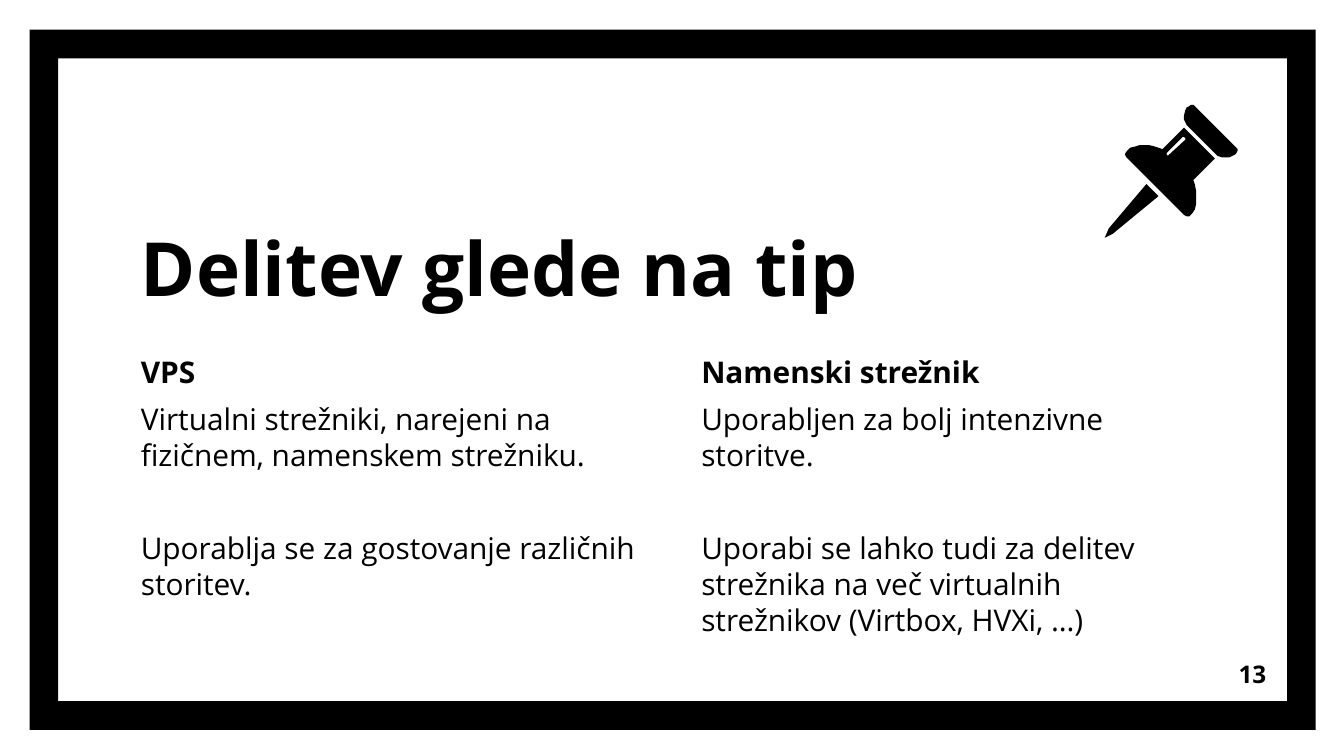
from typing import NamedTuple

from pptx import Presentation
from pptx import util as u
from pptx.dml.color import RGBColor
from pptx.enum import shapes, text

FONT = "Open Sans"
BLACK = "000000"
WHITE = "FFFFFF"
Points = list[tuple[int, int]]


class Box(NamedTuple):
    left: float
    top: float
    width: float
    height: float

    def lengths(self) -> list[u.Length]:
        return [u.Inches(value) for value in self]


class Line(NamedTuple):
    words: str
    size: float
    bold: bool = False
    space_before: float = 0


class Column(NamedTuple):
    left: float
    heading: str
    summary: str
    usage: str


COLUMNS = [
    Column(0.95, "VPS",
           "Virtualni strežniki, narejeni na fizičnem, namenskem strežniku.",
           "Uporablja se za gostovanje različnih storitev."),
    Column(5.12, "Namenski strežnik",
           "Uporabljen za bolj intenzivne storitve.",
           "Uporabi se lahko tudi za delitev strežnika na več virtualnih "
           "strežnikov (Virtbox, HVXi, …)"),
]

# Pushpin outlines in hundredths of an inch
NEEDLE: Points = [(853, 137), (825, 170), (822, 177), (828, 174), (862, 146)]
CAP: Points = [
    (886, 78), (885, 79), (883, 80), (882, 82), (881, 86), (881, 89),
    (882, 91), (883, 93), (906, 116), (909, 117), (915, 117), (917, 116),
    (919, 115), (920, 114), (921, 112), (921, 111), (920, 110), (889, 79),
    (888, 78),
]
BODY: Points = [
    (881, 95), (865, 111), (862, 110), (859, 109), (855, 108), (848, 108),
    (845, 109), (841, 110), (838, 113), (837, 115), (838, 117), (881, 160),
    (883, 161), (885, 161), (887, 159), (889, 156), (890, 152), (890, 142),
    (889, 137), (888, 134), (904, 118),
]
GLINT: Points = [
    (881, 102), (882, 103), (882, 104), (870, 115), (869, 116), (868, 115),
    (868, 114), (880, 102),
]


def color(hex_value: str) -> RGBColor:
    return RGBColor.from_string(hex_value)


def paint(shape, fill: str = BLACK) -> None:
    shape.shadow.inherit = False
    shape.fill.solid()
    shape.fill.fore_color.rgb = color(fill)
    shape.line.fill.background()


def add_text(slide, box: Box, lines: list[Line],
             anchor=text.MSO_ANCHOR.TOP, align=text.PP_ALIGN.LEFT) -> None:
    frame = slide.shapes.add_textbox(*box.lengths()).text_frame
    frame.word_wrap = True
    frame.vertical_anchor = anchor
    frame.margin_left = frame.margin_right = u.Inches(0.1)
    frame.margin_top = frame.margin_bottom = u.Inches(0.1)
    frame.text = "\n".join(line.words for line in lines)
    for paragraph, line in zip(frame.paragraphs, lines):
        paragraph.alignment = align
        paragraph.space_before = u.Pt(line.space_before)
        font = paragraph.runs[0].font
        font.name = FONT
        font.size = u.Pt(line.size)
        font.bold = line.bold
        font.color.rgb = color(BLACK)


def add_outline(slide, *contours: Points) -> None:
    """Draw one black shape; contours after the first cut holes in it."""
    first, *holes = contours
    builder = slide.shapes.build_freeform(*first[0], scale=u.Inches(0.01))
    builder.add_line_segments(first[1:], close=True)
    for hole in holes:
        builder.move_to(*hole[0])
        builder.add_line_segments(hole[1:], close=True)
    paint(builder.convert_to_shape())


def add_column(slide, column: Column) -> None:
    add_text(slide, Box(column.left, 2.53, 3.93, 2.33), [
        Line(column.heading, 16, bold=True, space_before=6),
        Line(column.summary, 16, space_before=6),
        Line(column.usage, 16, space_before=31),
    ])


def main() -> None:
    deck = Presentation()
    deck.slide_width, deck.slide_height = u.Inches(10), u.Inches(5.625)
    slide = deck.slides.add_slide(deck.slide_layouts[6])
    slide.background.fill.solid()
    slide.background.fill.fore_color.rgb = color(WHITE)

    border = slide.shapes.add_shape(
        shapes.MSO_SHAPE.FRAME, *Box(0.22, 0.22, 9.57, 5.21).lengths())
    border.adjustments[0] = 0.041
    paint(border)

    add_text(slide, Box(0.95, 0.93, 5.57, 1.49),
             [Line("Delitev glede na tip", 40, bold=True)],
             anchor=text.MSO_ANCHOR.BOTTOM)
    for column in COLUMNS:
        add_column(slide, column)

    add_outline(slide, NEEDLE)
    add_outline(slide, CAP)
    add_outline(slide, BODY, GLINT)

    add_text(slide, Box(8.92, 4.8, 0.6, 0.43), [Line("13", 13, bold=True)],
             anchor=text.MSO_ANCHOR.MIDDLE, align=text.PP_ALIGN.RIGHT)
    deck.save("out.pptx")


if __name__ == "__main__":
    main()
